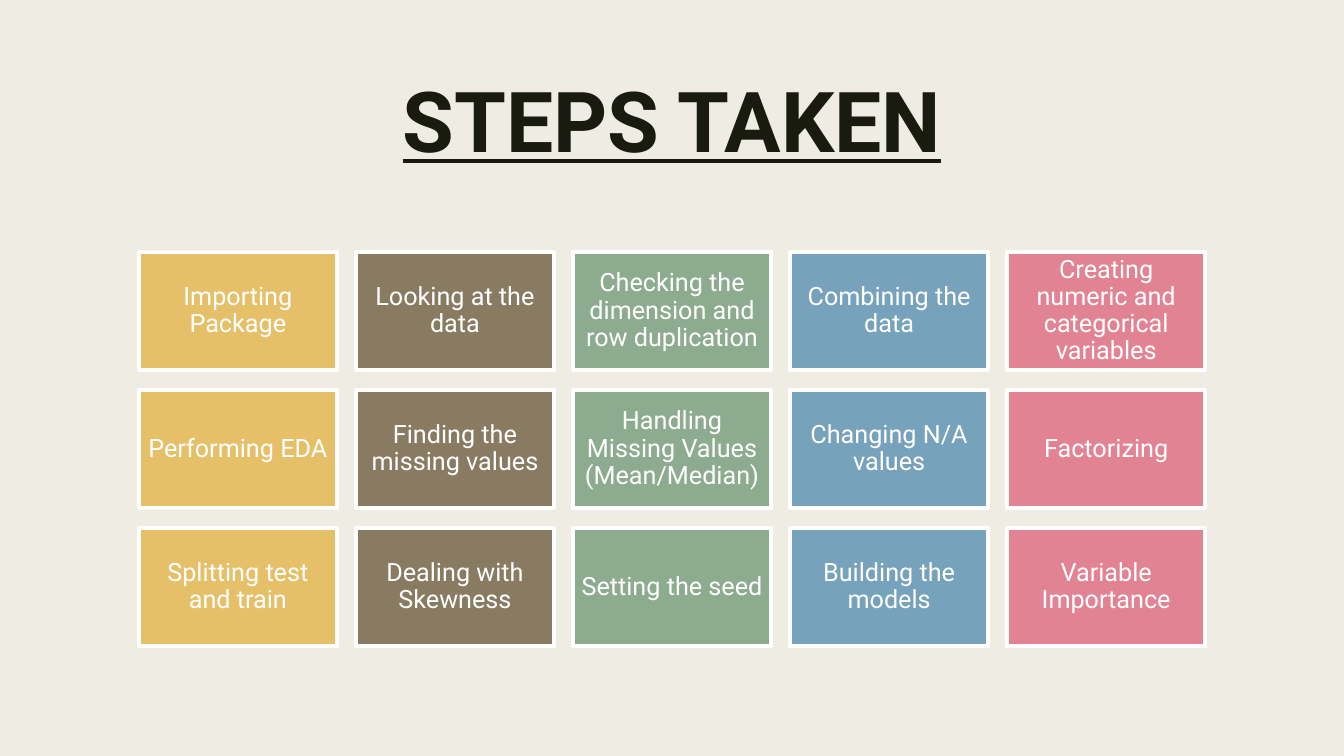
from dataclasses import dataclass

from pptx import Presentation
from pptx.dml.color import RGBColor
from pptx.enum import shapes, text
from pptx.util import Inches, Pt

FONT = "Roboto"
INK, PAPER, WHITE = "191B0E", "EFEDE3", "FFFFFF"

# Grid of step cards
LEFT, TOP = 1.38, 2.5
CARD_WIDTH, CARD_HEIGHT = 1.96, 1.17
COLUMN_STEP, ROW_STEP = 2.153, 1.37
INSET = 0.07


@dataclass(frozen=True)
class StepColumn:
    color: str
    steps: tuple[str, ...]


COLUMNS = (
    StepColumn("E6C069", ("Importing Package", "Performing EDA", "Splitting test and train")),
    StepColumn("897B61", ("Looking at the data", "Finding the missing values",
                          "Dealing with Skewness")),
    StepColumn("8DAB8E", ("Checking the dimension and row duplication",
                          "Handling Missing Values (Mean/Median)", "Setting the seed")),
    StepColumn("77A2BB", ("Combining the data", "Changing N/A values", "Building the models")),
    StepColumn("E28394", ("Creating numeric and categorical variables", "Factorizing",
                          "Variable Importance")),
)


def set_fill(fill, color: str) -> None:
    fill.solid()
    fill.fore_color.rgb = RGBColor.from_string(color)


def format_text(frame, size: float, color: str, spacing: float):
    frame.word_wrap = True
    frame.auto_size = text.MSO_AUTO_SIZE.NONE
    para = frame.paragraphs[0]
    para.alignment = text.PP_ALIGN.CENTER
    para.line_spacing = spacing
    para.font.name = FONT
    para.font.size = Pt(size)
    set_fill(para.font.fill, color)
    return para


def add_title(page, wording: str) -> None:
    title = page.shapes.title
    title.left, title.top = Inches(0.7), Inches(0.75)
    title.width, title.height = Inches(11.93), Inches(1.62)
    title.text_frame.text = wording
    title.text_frame.vertical_anchor = text.MSO_ANCHOR.TOP
    para = format_text(title.text_frame, 60, INK, 0.89)
    para.font.bold = True
    para.font.underline = True


def add_card(page, left: float, top: float, wording: str, color: str) -> None:
    card = page.shapes.add_shape(
        shapes.MSO_SHAPE.RECTANGLE,
        Inches(left), Inches(top), Inches(CARD_WIDTH), Inches(CARD_HEIGHT))
    card.shadow.inherit = False
    set_fill(card.fill, color)
    set_fill(card.line.fill, WHITE)
    card.line.width = Pt(2.75)
    frame = card.text_frame
    frame.text = wording
    frame.vertical_anchor = text.MSO_ANCHOR.MIDDLE
    frame.margin_left = frame.margin_right = Inches(INSET)
    frame.margin_top = frame.margin_bottom = Inches(INSET)
    format_text(frame, 18, WHITE, 0.9)


def main() -> None:
    deck = Presentation()
    deck.slide_width, deck.slide_height = Inches(13.33), Inches(7.5)
    page = deck.slides.add_slide(deck.slide_layouts[5])
    set_fill(page.background.fill, PAPER)

    add_title(page, "STEPS TAKEN")

    # Cards run row by row, one colour per column
    for row in range(len(COLUMNS[0].steps)):
        for index, column in enumerate(COLUMNS):
            add_card(page, LEFT + index * COLUMN_STEP, TOP + row * ROW_STEP,
                     column.steps[row], column.color)

    deck.save("out.pptx")


if __name__ == "__main__":
    main()
